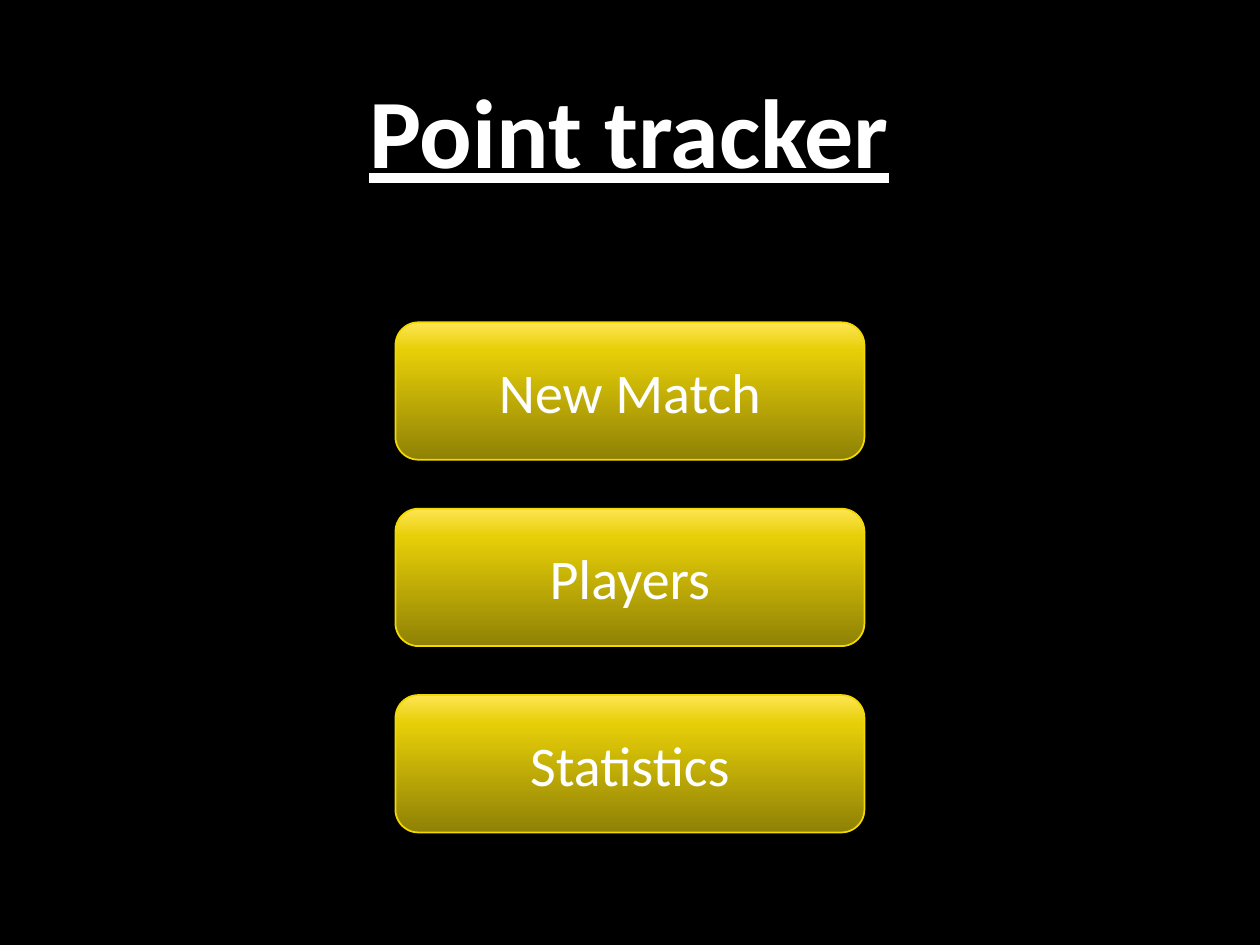
from copy import deepcopy

from pptx import Presentation
from pptx.dml.color import RGBColor
from pptx.enum.shapes import MSO_SHAPE as Shape
from pptx.enum.text import MSO_ANCHOR as Anchor, PP_ALIGN as Align
from pptx.oxml.ns import qn
from pptx.util import Pt

BLACK = RGBColor(0x00, 0x00, 0x00)
WHITE = RGBColor(0xFF, 0xFF, 0xFF)
GOLD = RGBColor(0xF2, 0xD9, 0x02)
BUTTON_STOPS = [
    (0, RGBColor(0x8F, 0x81, 0x05)),
    (0.8, RGBColor(0xE7, 0xCF, 0x08)),
    (1, RGBColor(0xFF, 0xE5, 0x52)),
]
BUTTON_LABELS = ["New Match", "Players", "Statistics"]
BUTTON_LEFT, BUTTON_TOP, BUTTON_PITCH = 226, 184.2, 106.5
BUTTON_WIDTH, BUTTON_HEIGHT = 268, 78.5


def write_text(shape, text, size):
    frame = shape.text_frame
    frame.text = text
    frame.word_wrap = True
    frame.vertical_anchor = Anchor.MIDDLE
    paragraph = frame.paragraphs[0]
    paragraph.alignment = Align.CENTER
    font = paragraph.runs[0].font
    font.name = "Calibri"
    font.size = Pt(size)
    font.color.rgb = WHITE
    return font


def add_title(slide, text):
    title = slide.shapes.title
    title.left, title.top = Pt(61), Pt(8.6)
    title.width, title.height = Pt(597), Pt(130.4)
    font = write_text(title, text, 56)
    font.bold = True
    font.underline = True


def fill_gradient(shape, stops):
    fill = shape.fill
    fill.gradient()
    fill.gradient_angle = 90
    stop_list = shape.element.spPr.find(qn("a:gradFill")).find(qn("a:gsLst"))
    while len(stop_list) < len(stops):
        stop_list.append(deepcopy(stop_list[0]))
    for stop, (position, color) in zip(fill.gradient_stops, stops):
        stop.position = position
        stop.color.rgb = color


def add_button(slide, label, top):
    button = slide.shapes.add_shape(
        Shape.ROUNDED_RECTANGLE,
        Pt(BUTTON_LEFT), Pt(top), Pt(BUTTON_WIDTH), Pt(BUTTON_HEIGHT),
    )
    button.shadow.inherit = False
    fill_gradient(button, BUTTON_STOPS)
    button.line.color.rgb = GOLD
    button.line.width = Pt(1)
    write_text(button, label, 32)


def main():
    deck = Presentation()
    deck.slide_width, deck.slide_height = Pt(720), Pt(540)
    slide = deck.slides.add_slide(deck.slide_layouts[5])
    background = slide.background.fill
    background.solid()
    background.fore_color.rgb = BLACK

    add_title(slide, "Point tracker")
    for index, label in enumerate(BUTTON_LABELS):
        add_button(slide, label, BUTTON_TOP + index * BUTTON_PITCH)

    deck.save("out.pptx")


if __name__ == "__main__":
    main()
